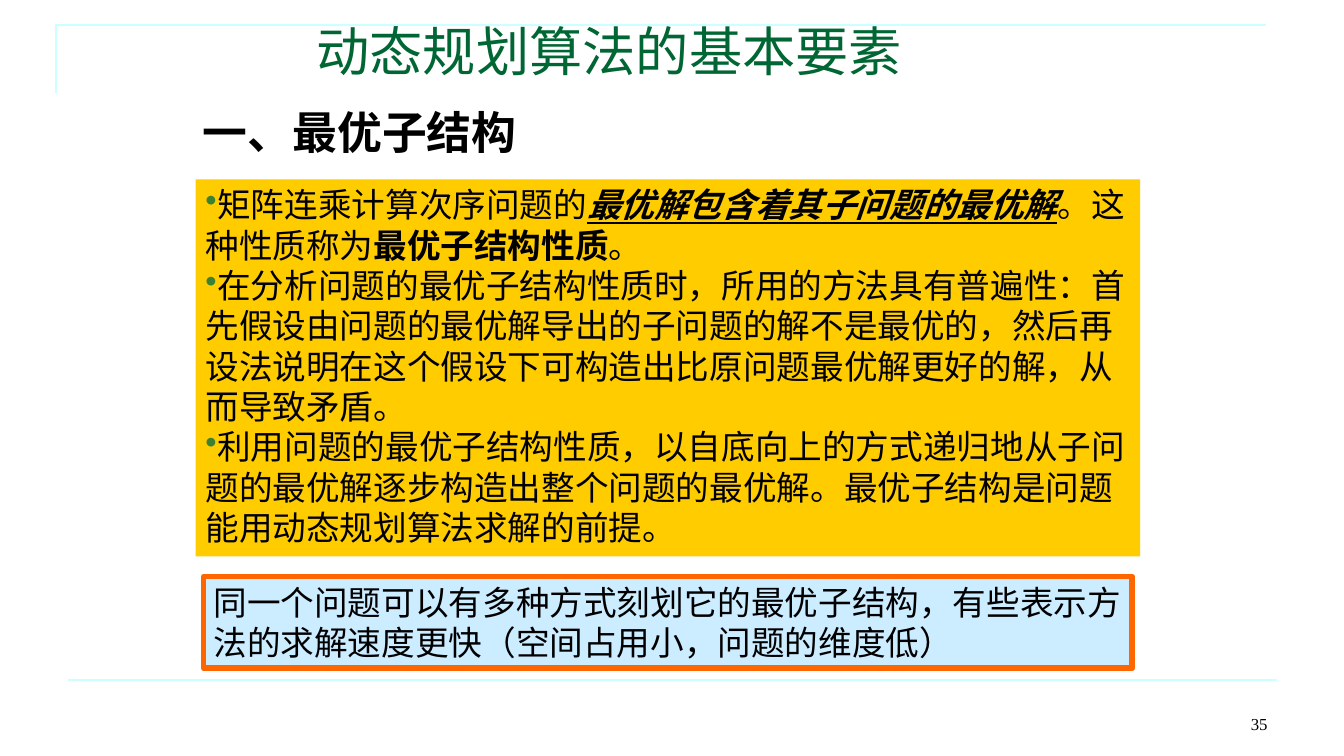
from pptx import Presentation
from pptx.dml.color import RGBColor
from pptx.enum.shapes import MSO_CONNECTOR, MSO_SHAPE
from pptx.enum.text import MSO_ANCHOR, PP_ALIGN
from pptx.oxml.ns import qn
from pptx.util import Inches, Pt
from lxml import etree

RECT, LINE = MSO_SHAPE.RECTANGLE, MSO_CONNECTOR.STRAIGHT
TOP, BOTTOM = MSO_ANCHOR.TOP, MSO_ANCHOR.BOTTOM
LEFT, MID, RIGHT = PP_ALIGN.LEFT, PP_ALIGN.CENTER, PP_ALIGN.RIGHT

# Content: a paragraph is a list of (text, style) with b, i, u as style marks
TITLE = [[("动态规划算法的基本要素", "")]]
HEAD = [[("一、最优子结构", "b")]]
POINTS = [
    [("矩阵连乘计算次序问题的", ""),
     ("最优解包含着其子问题的最优解", "biu"),
     ("。这种性质称为", ""),
     ("最优子结构性质", "b"),
     ("。", "")],
    [("在分析问题的最优子结构性质时，所用的方法具有普遍性：首先假设由问题的"
      "最优解导出的子问题的解不是最优的，然后再设法说明在这个假设下可构造出比"
      "原问题最优解更好的解，从而导致矛盾。", "")],
    [("利用问题的最优子结构性质，以自底向上的方式递归地从子问题的最优解逐步"
      "构造出整个问题的最优解。最优子结构是问题能用动态规划算法求解的前提。", "")],
]
NOTE = [[("同一个问题可以有多种方式刻划它的最优子结构，有些表示方法的求解速度"
          "更快（空间占用小，问题的维度低）", "")]]
NUMBER = [[("35", "")]]

COLORS = {"ink": "000000", "title": "006633", "rule": "CCFFFF", "gold": "FFCC00",
          "sky": "CCECFF", "edge": "FF6600", "dot": "3B812F"}
SANS, SERIF = "Arial", "Times New Roman"

# Places: left, top, width, height in percent of the slide
AREAS = {"title": (22.8, 0, 52.6, 11.6), "head": (12.45, 13.2, 28.66, 8.4),
         "points": (14.55, 23.73, 70.29, 49.87), "note": (15.15, 76.27, 69.09, 12.13),
         "number": (71.72, 91.07, 23.33, 6.67)}
CORNER = [(4.2, 12.27), (4.2, 3.33), (94.22, 3.33)]
FOOT = [(5.03, 90), (95.05, 90)]

prs = Presentation()
prs.slide_width, prs.slide_height = Inches(13.33), Inches(7.5)
slide = prs.slides.add_slide(prs.slide_layouts[5])
shapes = slide.shapes


def place(x, y):
    return int(prs.slide_width * x / 100), int(prs.slide_height * y / 100)


def area(name):
    x, y, w, h = AREAS[name]
    return *place(x, y), *place(w, h)


def color(name):
    return RGBColor.from_string(COLORS[name])


def stroke(shape, name, width):
    shape.line.color.rgb = color(name)
    shape.line.width = Pt(width)


def dot(para):
    props = para._p.get_or_add_pPr()
    tint = etree.SubElement(props, qn("a:buClr"))
    etree.SubElement(tint, qn("a:srgbClr")).set("val", COLORS["dot"])
    etree.SubElement(props, qn("a:buChar")).set("char", "•")


def write(shape, paras, size, font=SANS, ink="ink", align=LEFT, anchor=TOP, dots=False):
    frame = shape.text_frame
    frame.word_wrap = True
    frame.vertical_anchor = anchor
    for n, parts in enumerate(paras):
        para = frame.add_paragraph() if n else frame.paragraphs[0]
        para.alignment = align
        if dots:
            dot(para)
        for text, style in parts:
            run = para.add_run()
            run.text = text
            face = run.font
            face.name, face.size = font, Pt(size)
            face.color.rgb = color(ink)
            face.bold, face.italic, face.underline = (mark in style for mark in "biu")


def label(name, *args, **more):
    write(shapes.add_textbox(*area(name)), *args, **more)


def panel(name, fill, paras, **more):
    box = shapes.add_shape(RECT, *area(name))
    box.shadow.inherit = False
    box.fill.solid()
    box.fill.fore_color.rgb = color(fill)
    box.line.fill.background()
    write(box, paras, 24, **more)
    return box


# Rules at the top corner and the foot
pen = shapes.build_freeform(*place(*CORNER[0]))
pen.add_line_segments([place(*spot) for spot in CORNER[1:]], close=False)
corner = pen.convert_to_shape()
corner.shadow.inherit = False
corner.fill.background()
stroke(corner, "rule", 1.5)
foot = shapes.add_connector(LINE, *place(*FOOT[0]), *place(*FOOT[1]))
etree.SubElement(foot._element.spPr, qn("a:effectLst"))
stroke(foot, "rule", 1.5)

# Title, heading and page number
title = shapes.title
title.left, title.top, title.width, title.height = area("title")
write(title, TITLE, 38, font=SERIF, ink="title", anchor=BOTTOM)
label("head", HEAD, 32, align=MID)
label("number", NUMBER, 12, font=SERIF, align=RIGHT, anchor=BOTTOM)

# Panels
panel("points", "gold", POINTS, dots=True)
stroke(panel("note", "sky", NOTE), "edge", 4)

prs.save("out.pptx")
